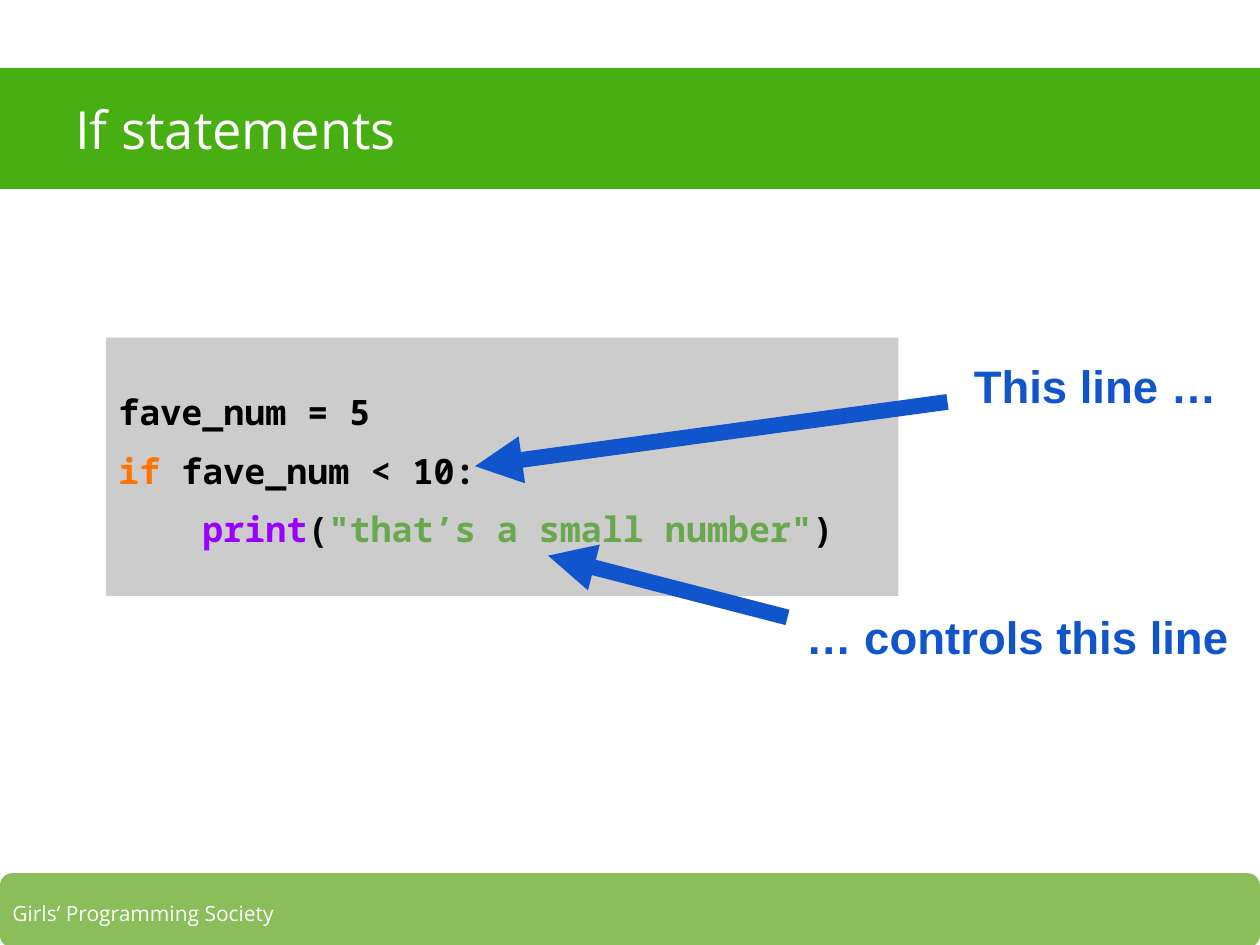
from lxml import etree
from pptx import Presentation
from pptx.dml.color import RGBColor
from pptx.enum import shapes, text
from pptx.oxml import ns
from pptx.util import Inches, Pt

WHITE = RGBColor(0xFF, 0xFF, 0xFF)
BLACK = RGBColor(0, 0, 0)
GREEN = RGBColor(0x47, 0xAF, 0x11)
LIME = RGBColor(0x8B, 0xBD, 0x5B)
GREY = RGBColor(0xCC, 0xCC, 0xCC)
BLUE = RGBColor(0x11, 0x55, 0xCC)
ORANGE = RGBColor(0xFF, 0x74, 0x00)
PURPLE = RGBColor(0x9A, 0x00, 0xFF)
LEAF = RGBColor(0x6A, 0xA8, 0x4F)

RECT = shapes.MSO_SHAPE.RECTANGLE
ROUND = shapes.MSO_SHAPE.ROUNDED_RECTANGLE
MIDDLE, TOP = text.MSO_ANCHOR.MIDDLE, text.MSO_ANCHOR.TOP

HEAD = dict(name="Open Sans", size=Pt(30))
FOOT = dict(name="Open Sans", size=Pt(12))
CODE = dict(name="Noto Sans Mono", size=Pt(20), bold=True)
NOTE = dict(name="Arial", size=Pt(26), bold=True)

PANELS = [
    (ROUND, (0, 6.93, 10, 0.59), LIME),
    (RECT, (-0.07, 0.54, 10.12, 0.96), GREEN),
]
LABELS = [
    ("Girls\u2019 Programming Society", (0, 7.05, 2.56, 0.39), FOOT, WHITE, MIDDLE),
    ("If statements", (0.5, 0.54, 9, 0.96), HEAD, WHITE, MIDDLE),
    ("This line \u2026", (7.63, 2.74, 2.19, 1.27), NOTE, BLUE, TOP),
    ("\u2026 controls this line", (6.3, 4.73, 3.57, 1.27), NOTE, BLUE, TOP),
]
CODE_BOX = (0.84, 2.68, 6.29, 2.05)
LINES = [
    [("fave_num = 5", BLACK)],
    [("if", ORANGE), (" fave_num < 10:", BLACK)],
    [("    print", PURPLE), ("(", BLACK),
     ("\"that\u2019s a small number\"", LEAF), (")", BLACK)],
]
ARROWS = [(7.52, 3.19, 3.77, 3.7), (6.25, 4.9, 4.35, 4.41)]


def place(box):
    """Turn inch values into lengths."""
    return [Inches(v) for v in box]


def panel(kind, box, color):
    """Add a plain filled shape."""
    shape = slide.shapes.add_shape(kind, *place(box))
    shape.shadow.inherit = False
    shape.fill.solid()
    shape.fill.fore_color.rgb = color
    shape.line.fill.background()
    return shape


def write(shape, lines, style, anchor, para=None):
    """Fill a shape with lines of coloured runs."""
    frame = shape.text_frame
    frame.word_wrap = True
    frame.vertical_anchor = anchor
    for side in ("left", "right", "top", "bottom"):
        setattr(frame, "margin_" + side, Inches(0.1))
    for i, line in enumerate(lines):
        p = frame.add_paragraph() if i else frame.paragraphs[0]
        p.alignment = text.PP_ALIGN.LEFT
        for key, value in (para or {}).items():
            setattr(p, key, value)
        for words, color in line:
            run = p.add_run()
            run.text = words
            run.font.color.rgb = color
            for key, value in style.items():
                setattr(run.font, key, value)


def arrow(ends):
    """Add a thick line with a triangle at its end."""
    line = slide.shapes.add_connector(shapes.MSO_CONNECTOR.STRAIGHT, *place(ends))
    line.line.color.rgb = BLUE
    line.line.width = Pt(9)
    tip = etree.SubElement(line.line._get_or_add_ln(), ns.qn("a:tailEnd"))
    tip.set("type", "triangle")
    etree.SubElement(line._element.spPr, ns.qn("a:effectLst"))


deck = Presentation()
deck.slide_width, deck.slide_height = Inches(10), Inches(7.5)
slide = deck.slides.add_slide(deck.slide_layouts[6])

for item in PANELS:
    panel(*item)
write(panel(RECT, CODE_BOX, GREY), LINES, CODE, MIDDLE,
      dict(line_spacing=1.15, space_before=Pt(6)))
for ends in ARROWS:
    arrow(ends)
for words, box, style, color, anchor in LABELS:
    write(slide.shapes.add_textbox(*place(box)), [[(words, color)]], style, anchor)

deck.save("out.pptx")
